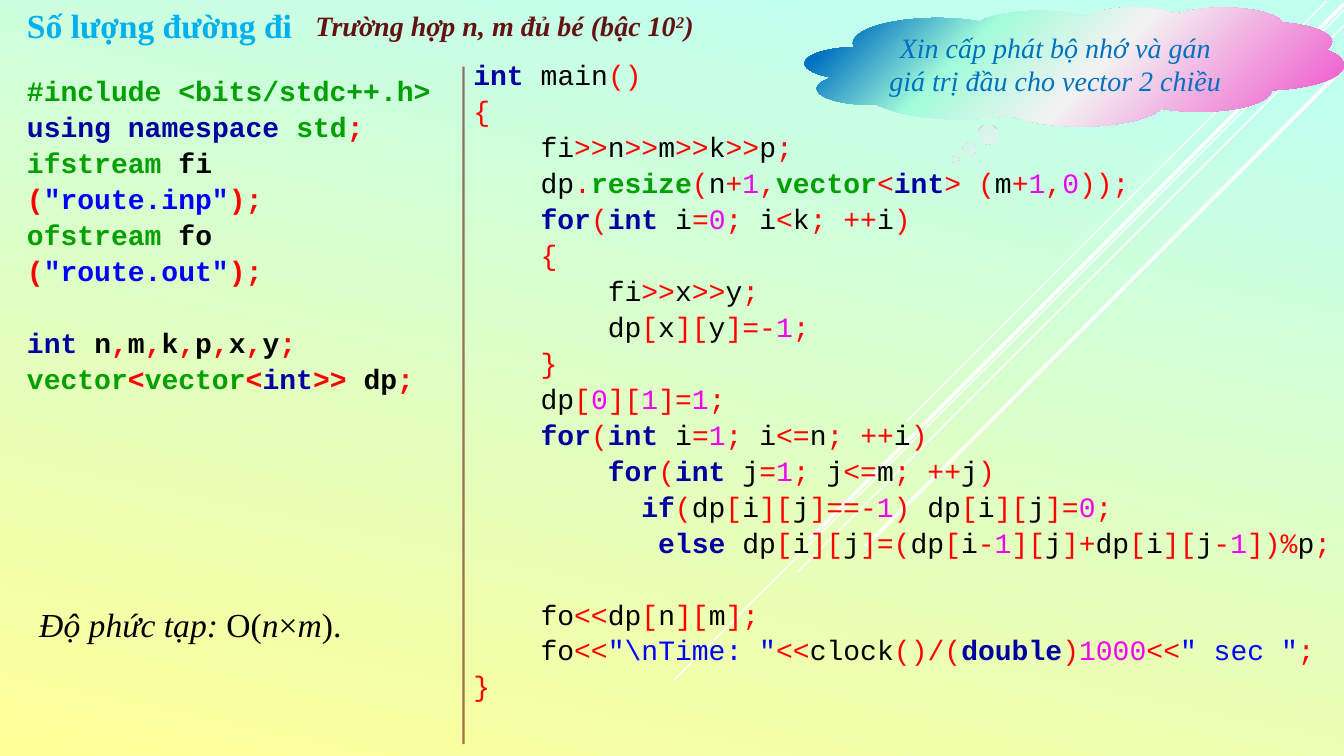
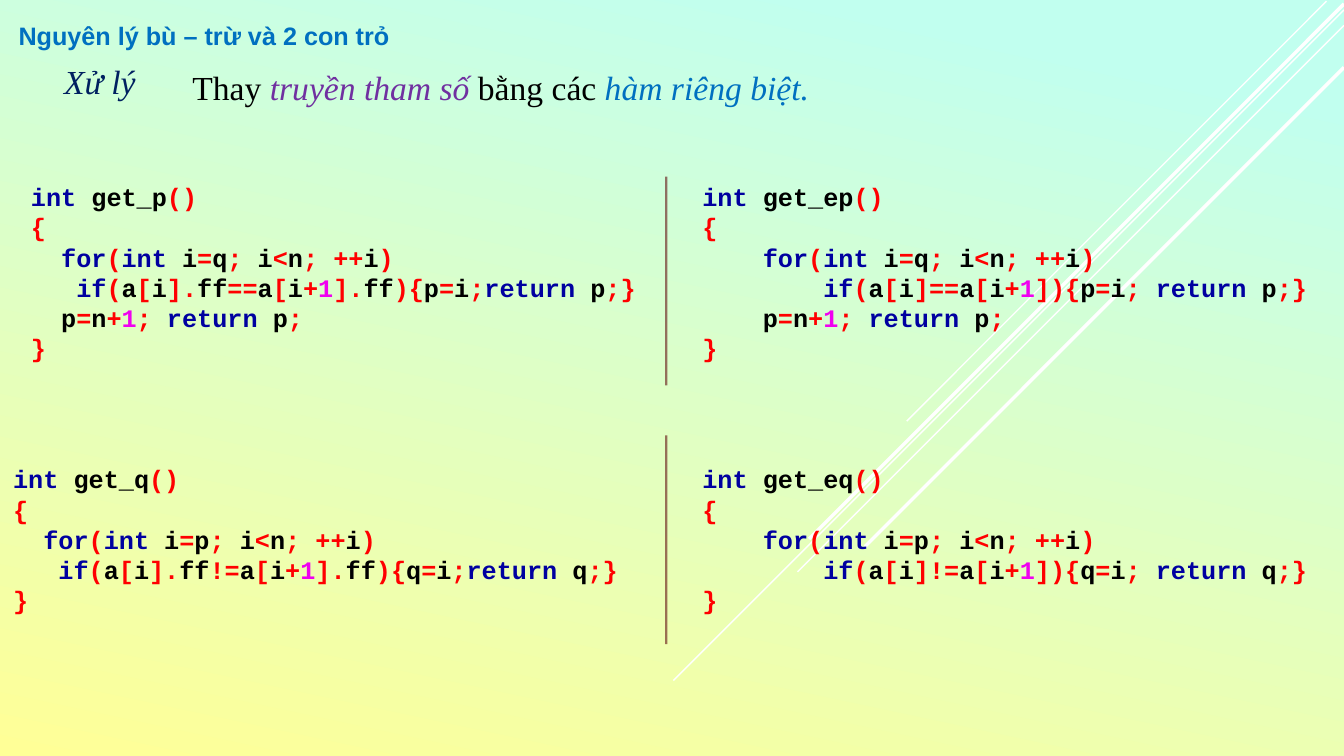
from dataclasses import dataclass
from itertools import groupby

from lxml.etree import SubElement
from pptx import Presentation
from pptx.dml.color import RGBColor
from pptx.enum.shapes import MSO_CONNECTOR, MSO_SHAPE
from pptx.enum.text import MSO_ANCHOR, PP_ALIGN
from pptx.oxml import parse_xml
from pptx.oxml.ns import nsdecls, qn
from pptx.util import Cm, Pt

COLORS = {
    "sky": "C1FFEF", "lemon": "FFFF97", "ray": "FFFFFF", "maroon": "631212",
    "cyan": "00B0F0", "blue": "0070C0", "navy": "002060", "purple": "7030A0",
    "black": "000000", "mint": "A2FCDA", "mist": "F2F2F2", "pink": "EF48C9",
    "keyword": "0000A0", "library": "00A000", "symbol": "FF0000",
    "string": "0000FF", "number": "F000F0",
}
SERIF, SANS, MONO = "Times New Roman", "Arial", "Courier New"
KEYWORDS = {"int", "for", "if", "else", "return", "double", "using", "namespace"}
LIBRARY = {"std", "ifstream", "ofstream", "vector", "resize"}
RAYS = [(33.43, 0.03, 10.58, 1), (33.87, 0.25, 16.9, 1), (33.87, 0.64, 13.77, 1),
        (33.87, 0.1, 13.48, 2.5), (33.87, 1.7, 12.07, 2.5)]

ROUTE_HEAD = """#include <bits/stdc++.h>
using namespace std;
ifstream fi ("route.inp");
ofstream fo ("route.out");

int n,m,k,p,x,y;
vector<vector<int>> dp;"""

ROUTE_MAIN = """int main()
{
    fi>>n>>m>>k>>p;
    dp.resize(n+1,vector<int> (m+1,0));
    for(int i=0; i<k; ++i)
    {
        fi>>x>>y;
        dp[x][y]=-1;
    }
    dp[0][1]=1;
    for(int i=1; i<=n; ++i)
        for(int j=1; j<=m; ++j)
          if(dp[i][j]==-1) dp[i][j]=0;
           else dp[i][j]=(dp[i-1][j]+dp[i][j-1])%p;

    fo<<dp[n][m];
    fo<<"\\nTime: "<<clock()/(double)1000<<" sec ";
}"""

GET_P = """int get_p()
{
  for(int i=q; i<n; ++i)
   if(a[i].ff==a[i+1].ff){p=i;return p;}
  p=n+1; return p;
}"""

GET_EP = """int get_ep()
{
    for(int i=q; i<n; ++i)
        if(a[i]==a[i+1]){p=i; return p;}
    p=n+1; return p;
}"""

GET_Q = """int get_q()
{
  for(int i=p; i<n; ++i)
   if(a[i].ff!=a[i+1].ff){q=i;return q;}
}"""

GET_EQ = """int get_eq()
{
    for(int i=p; i<n; ++i)
        if(a[i]!=a[i+1]){q=i; return q;}
}"""


@dataclass
class Box:
    """A rectangle in centimetres."""
    left: float
    top: float
    width: float
    height: float

    def lengths(self):
        """Return the four sides as slide lengths."""
        return [Cm(side) for side in (self.left, self.top, self.width, self.height)]


def rgb(color):
    """Look up a named colour."""
    return RGBColor.from_string(COLORS[color])


def set_font(font, name, size, color, bold=False, italic=False):
    """Set the whole look of a font."""
    font.name, font.size = name, Pt(size)
    font.bold, font.italic = bold, italic
    font.color.rgb = rgb(color)


def add_line(slide, start, end, color, width, alpha=None):
    """Draw a straight line without shadow between two points."""
    line = slide.shapes.add_connector(
        MSO_CONNECTOR.STRAIGHT, *(Cm(value) for value in (*start, *end)))
    line.line.color.rgb = rgb(color)
    line.line.width = Pt(width)
    properties = line._element.spPr
    SubElement(properties, qn("a:effectLst"))
    if alpha:
        tint = next(properties.iter(qn("a:srgbClr")))
        SubElement(tint, qn("a:alpha")).set("val", str(alpha * 1000))


def add_divider(slide, box):
    """Draw the translucent vertical rule at the left side of a box."""
    add_line(slide, (box.left, box.top), (box.left, box.top + box.height),
             "maroon", 1.5, 60)


def add_frame(slide, box):
    """Add an empty wrapping text frame."""
    frame = slide.shapes.add_textbox(*box.lengths()).text_frame
    frame.word_wrap = True
    return frame


def add_label(slide, box, pieces, name, size, color, bold=False, italic=False):
    """Add a line of text; each piece is its words and its own font changes."""
    paragraph = add_frame(slide, box).paragraphs[0]
    set_font(paragraph.font, name, size, color, bold, italic)
    for words, changes in pieces:
        run = paragraph.add_run()
        run.text = words
        if "color" in changes:
            run.font.color.rgb = rgb(changes["color"])
        if "italic" in changes:
            run.font.italic = changes["italic"]
        if "raised" in changes:
            run.font._element.set("baseline", str(changes["raised"] * 1000))
    return paragraph


def token_color(token):
    """Choose the syntax colour of a token."""
    if token in KEYWORDS:
        return "keyword"
    if token in LIBRARY:
        return "library"
    if token.isdigit():
        return "number"
    return "black" if token[0].isalpha() else "symbol"


def tokens(line):
    """Yield the tokens of a code line with their colours."""
    if line.startswith("#"):
        yield line, "library"
        return
    for order, part in enumerate(line.split('"')):
        if order % 2:
            yield f'"{part}"', "string"
            continue
        for _, letters in groupby(part, lambda sign: sign.isalnum() or sign == "_"):
            token = "".join(letters)
            yield token, token_color(token)


def add_code(slide, box, code, size, spacing=1.0, all_bold=True):
    """Set highlighted code, with indents as margins and gaps as spacing."""
    frame = add_frame(slide, box)
    frame.margin_right = 0
    for order, block in enumerate(code.split("\n\n")):
        for row, line in enumerate(block.split("\n")):
            first = order == row == 0
            paragraph = frame.paragraphs[0] if first else frame.add_paragraph()
            set_font(paragraph.font, MONO, size, "black", all_bold)
            paragraph.line_spacing = spacing
            if order and row == 0:
                paragraph.space_before = Pt(round(1.2 * size * spacing, 1))
            words = line.lstrip()
            indent = Pt(0.6 * size * (len(line) - len(words)))
            paragraph._p.get_or_add_pPr().set("marL", str(indent))
            for token, color in tokens(words):
                run = paragraph.add_run()
                run.text = token
                run.font.color.rgb = rgb(color)
                if color in ("keyword", "library"):
                    run.font.bold = True


def add_cloud(slide, box, words):
    """Add the thought cloud with its four-colour radial blend."""
    cloud = slide.shapes.add_shape(MSO_SHAPE.CLOUD_CALLOUT, *box.lengths())
    cloud.adjustments[0], cloud.adjustments[1] = -0.22, 0.78
    cloud.shadow.inherit = False
    cloud.line.fill.background()
    stops = "".join(
        f'<a:gs pos="{place * 1000}"><a:srgbClr val="{COLORS[color]}"/></a:gs>'
        for place, color in ((9, "blue"), (31, "mint"), (54, "mist"), (100, "pink")))
    blend = parse_xml(
        f'<a:gradFill {nsdecls("a")} rotWithShape="1"><a:gsLst>{stops}</a:gsLst>'
        '<a:path path="circle"><a:fillToRect r="100000" b="100000"/></a:path>'
        '</a:gradFill>')
    cloud._element.spPr.find(qn("a:prstGeom")).addnext(blend)
    frame = cloud.text_frame
    frame.word_wrap = True
    frame.vertical_anchor = MSO_ANCHOR.MIDDLE
    paragraph = frame.paragraphs[0]
    paragraph.text = words
    paragraph.alignment = PP_ALIGN.CENTER
    set_font(paragraph.font, SERIF, 20, "blue", italic=True)


def paint_background(master):
    """Give the master its sky-to-lemon gradient."""
    fill = master.background.fill
    fill.gradient()
    fill.gradient_angle = 258
    for stop, place, color in zip(fill.gradient_stops, (0.1, 1), ("sky", "lemon")):
        stop.position = place
        stop.color.rgb = rgb(color)


def add_base(prs):
    """Start a blank slide crossed by the diagonal rays."""
    slide = prs.slides.add_slide(prs.slide_layouts[6])
    for x, y, reach, width in RAYS:
        add_line(slide, (x, y), (x - reach, y + reach), "ray", width)
    return slide


def build_route_slide(prs):
    """Build the slide that counts routes."""
    slide = add_base(prs)
    add_label(slide, Box(0.43, 0, 7.6, 1.27), [("Số lượng đường đi", {})],
              SERIF, 24, "cyan", bold=True)
    add_label(slide, Box(7.7, 0.1, 10.29, 1.11),
              [("Trường hợp n, m đủ bé (bậc 10", {}), ("2", {"raised": 30}), (")", {})],
              SERIF, 20, "maroon", bold=True, italic=True)
    add_code(slide, Box(0.43, 1.68, 11.18, 6.65), ROUTE_HEAD, 20, 1.07)
    add_code(slide, Box(11.68, 1.27, 22.17, 16.71), ROUTE_MAIN, 20, 1.07, False)
    add_divider(slide, Box(11.68, 1.68, 0, 17.07))
    add_cloud(slide, Box(20.29, 0.18, 13.58, 3),
              "Xin cấp phát bộ nhớ và gán giá trị đầu cho vector 2 chiều")
    upright = {"italic": False}
    add_label(slide, Box(0.74, 15.09, 8.94, 1.27),
              [("Độ phức tạp:", {}), (" O(", upright), ("n", {}), ("×", upright),
               ("m", {}), (").", upright)],
              SERIF, 24, "black", italic=True)


def build_pointer_slide(prs):
    """Build the slide with the four pointer functions."""
    slide = add_base(prs)
    title = add_label(slide, Box(0, 0.38, 10.29, 1.02),
                      [("Nguyên lý bù – trừ và 2 con trỏ", {})],
                      SANS, 18, "blue", bold=True)
    title.alignment = PP_ALIGN.CENTER
    add_label(slide, Box(1.37, 1.4, 2.62, 1.27), [("Xử lý", {})],
              SERIF, 24, "navy", italic=True)
    add_label(slide, Box(4.6, 1.57, 16.26, 1.27),
              [("Thay ", {}), ("truyền tham số ", {"color": "purple", "italic": True}),
               ("bằng các ", {}), ("hàm riêng biệt.", {"color": "blue", "italic": True})],
              SERIF, 24, "black")
    rows = [(4.45, 4.45, 0.53, GET_P, GET_EP), (11.56, 10.97, 0.08, GET_Q, GET_EQ)]
    for top, rule_top, left, pair_code, element_code in rows:
        for side, code in ((left, pair_code), (17.45, element_code)):
            add_code(slide, Box(side, top, 16.2, 4.88), code, 18)
        add_divider(slide, Box(16.79, rule_top, 0, 5.26))


def main():
    """Build and save the presentation."""
    prs = Presentation()
    prs.slide_width, prs.slide_height = Cm(33.87), Cm(19.05)
    paint_background(prs.slide_master)
    build_route_slide(prs)
    build_pointer_slide(prs)
    prs.save("out.pptx")


if __name__ == "__main__":
    main()
